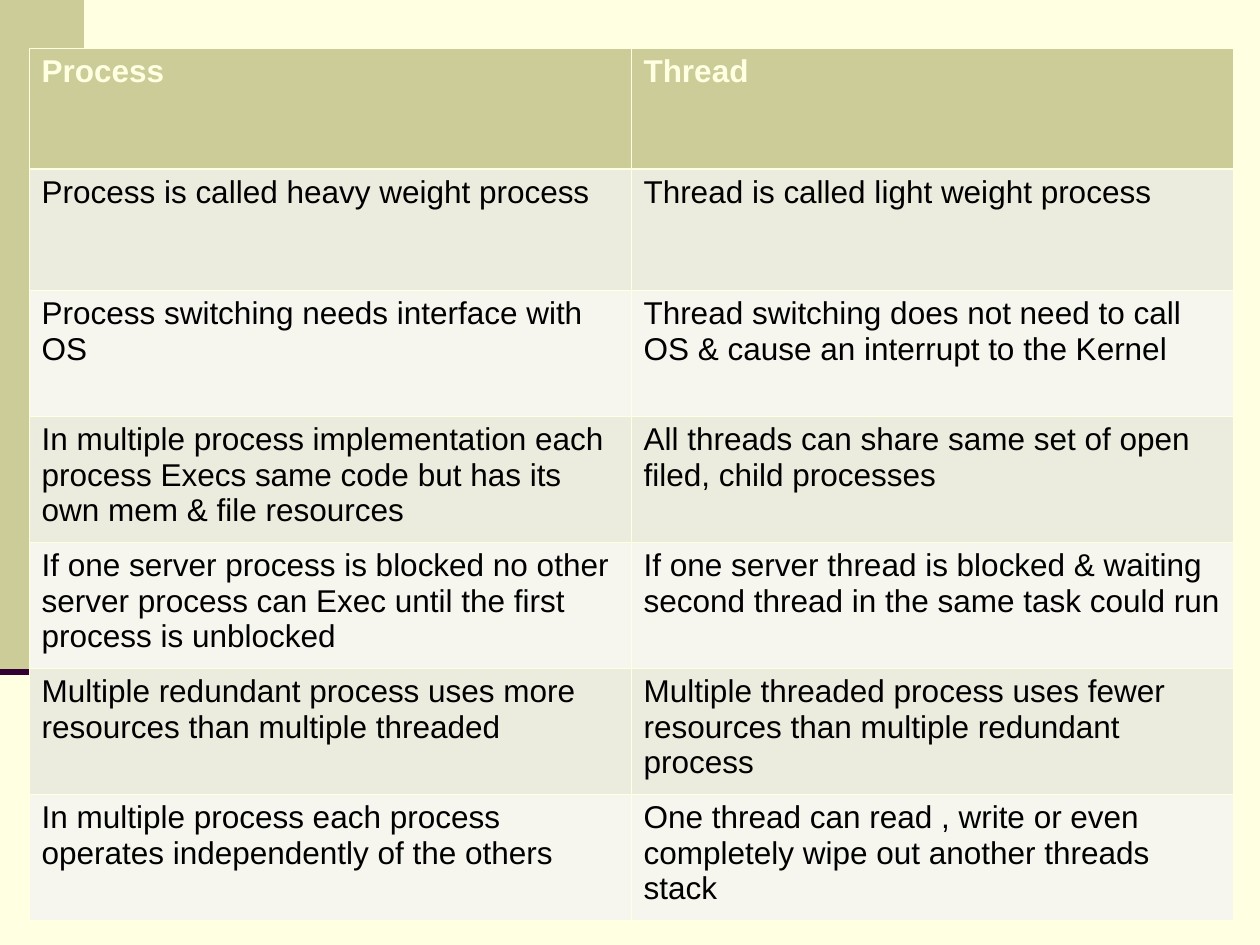
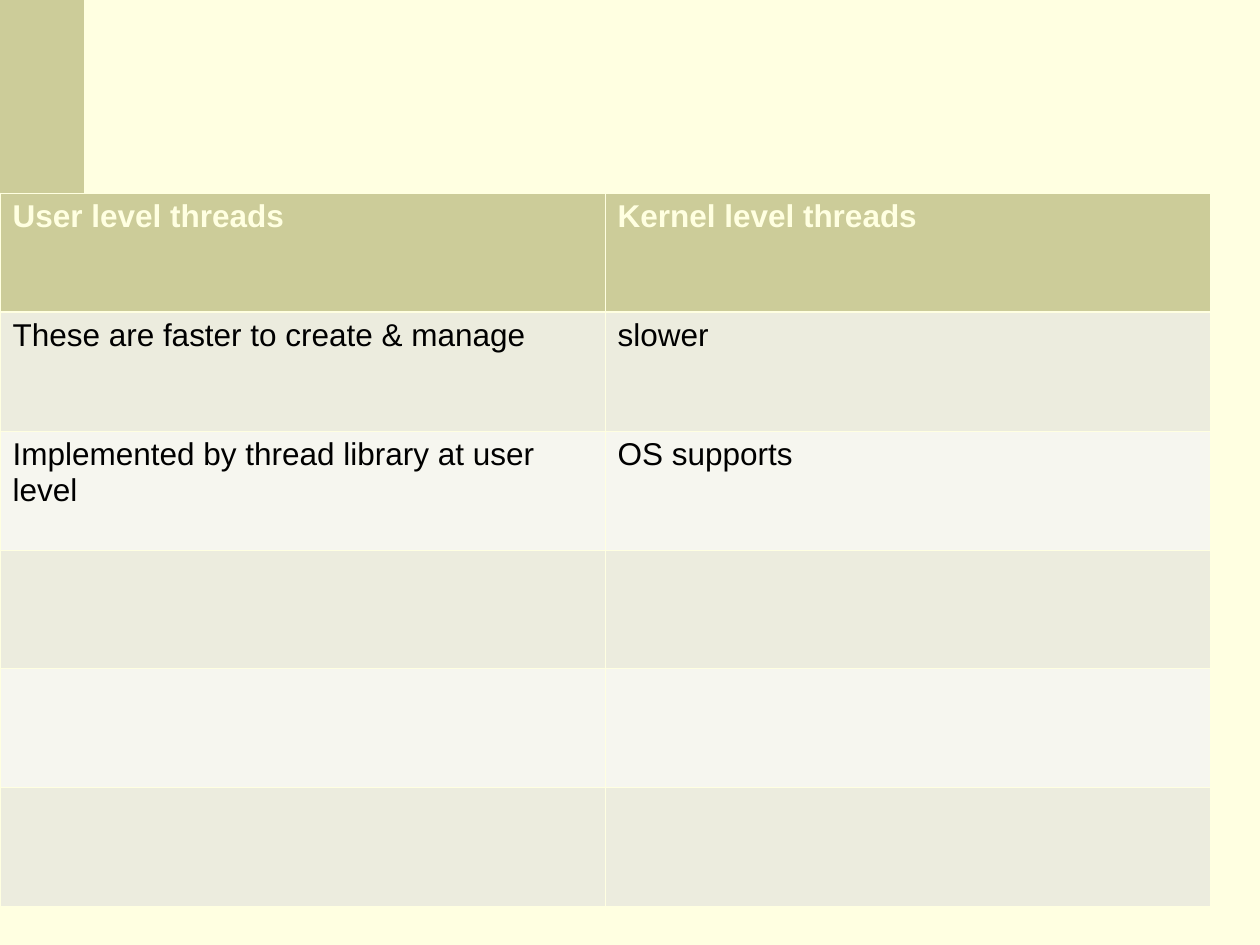
from pptx import Presentation
from pptx.dml.color import RGBColor
from pptx.enum import shapes
from pptx.oxml import parse_xml
from pptx.oxml.ns import nsdecls
from pptx.util import Emu, Pt

COLORS = {
    "page": "FFFFE1",
    "khaki": "CCCC99",
    "plum": "330033",
    "band_dark": "ECECDE",
    "band_light": "F6F6EF",
    "text": "000000",
}
FONT = "Arial"
THIN, THICK = 0.45, 1.47

PROCESS_VS_THREAD = [
    ("Process", "Thread"),
    ("Process is called heavy weight process",
     "Thread is called light weight process"),
    ("Process switching needs interface with OS",
     "Thread switching does not need to call OS & cause an interrupt to the Kernel"),
    ("In multiple process implementation each process Execs same code "
     "but has its own mem & file resources",
     "All threads can share same set of open filed, child processes"),
    ("If one server process is blocked no other server process can Exec "
     "until the first process is unblocked",
     "If one server thread is blocked & waiting second thread in the same task could run"),
    ("Multiple redundant process uses more resources than multiple threaded",
     "Multiple threaded process uses fewer resources than multiple redundant process"),
    ("In multiple process each process operates independently of the others",
     "One thread can read , write or even completely wipe out another threads stack"),
]
USER_VS_KERNEL = [
    ("User level threads", "Kernel level threads"),
    ("These are faster to create & manage", "slower"),
    ("Implemented by thread library at user level", "OS supports"),
    ("", ""),
    ("", ""),
    ("", ""),
]


def px(n):
    """Length in EMU; 126 px make an inch."""
    return Emu(round(n * 914400 / 126))


def rgb(name):
    return RGBColor.from_string(COLORS[name])


def add_side_band(s, left, top, width, height):
    """Khaki band with a plum line along its foot."""
    band = s.shapes.add_shape(shapes.MSO_SHAPE.RECTANGLE,
                              px(left), px(top), px(width), px(height))
    band.shadow.inherit = False
    band.fill.solid()
    band.fill.fore_color.rgb = rgb("khaki")
    band.line.fill.background()

    foot = px(top + height)
    line = s.shapes.add_connector(shapes.MSO_CONNECTOR.STRAIGHT,
                                  px(left), foot, px(left + width), foot)
    line.line.color.rgb = rgb("plum")
    line.line.width = Pt(3.5)
    line._element.spPr.append(parse_xml(f"<a:effectLst {nsdecls('a')}/>"))


def set_borders(cell, top, bottom):
    """Page-coloured borders; call before the cell fill is set."""
    tc_pr = cell._tc.get_or_add_tcPr()
    for side, points in zip("LRTB", (THIN, THIN, top, bottom)):
        tc_pr.append(parse_xml(
            f'<a:ln{side} {nsdecls("a")} w="{Pt(points)}"><a:solidFill>'
            f'<a:srgbClr val="{COLORS["page"]}"/></a:solidFill></a:ln{side}>'))


def fill_cell(cell, content, row):
    header = row == 0
    set_borders(cell, THICK if row == 1 else THIN, THICK if header else THIN)
    cell.fill.solid()
    band = "band_dark" if row % 2 else "band_light"
    cell.fill.fore_color.rgb = rgb("khaki" if header else band)
    if content:
        r = cell.text_frame.paragraphs[0].add_run()
        r.text = content
        r.font.name = FONT
        r.font.size = Pt(18)
        r.font.bold = header
        r.font.color.rgb = rgb("page" if header else "text")


def add_comparison(s, left, top, col_width, row_heights, rows):
    """Two-column table with a header row and banded body rows."""
    n_cols = len(rows[0])
    table = s.shapes.add_table(len(rows), n_cols, px(left), px(top),
                               px(n_cols * col_width), px(sum(row_heights))).table
    for col in table.columns:
        col.width = px(col_width)
    for i, (height, contents) in enumerate(zip(row_heights, rows)):
        table.rows[i].height = px(height)
        for j, content in enumerate(contents):
            fill_cell(table.cell(i, j), content, i)


def add_comparison_slide(prs, **table):
    s = prs.slides.add_slide(prs.slide_layouts[6])
    add_side_band(s, 0, 0, 84, 672)
    add_comparison(s, **table)


def main():
    prs = Presentation()
    prs.slide_width, prs.slide_height = px(1260), px(945)
    background = prs.slide_master.background.fill
    background.solid()
    background.fore_color.rgb = rgb("page")

    # Process and thread
    add_comparison_slide(prs, left=29, top=48, col_width=602,
                         row_heights=[121] * 2 + [126] * 5, rows=PROCESS_VS_THREAD)
    # User and kernel level threads
    add_comparison_slide(prs, left=0, top=193, col_width=605,
                         row_heights=[119] * 6, rows=USER_VS_KERNEL)
    prs.save("out.pptx")


if __name__ == "__main__":
    main()
